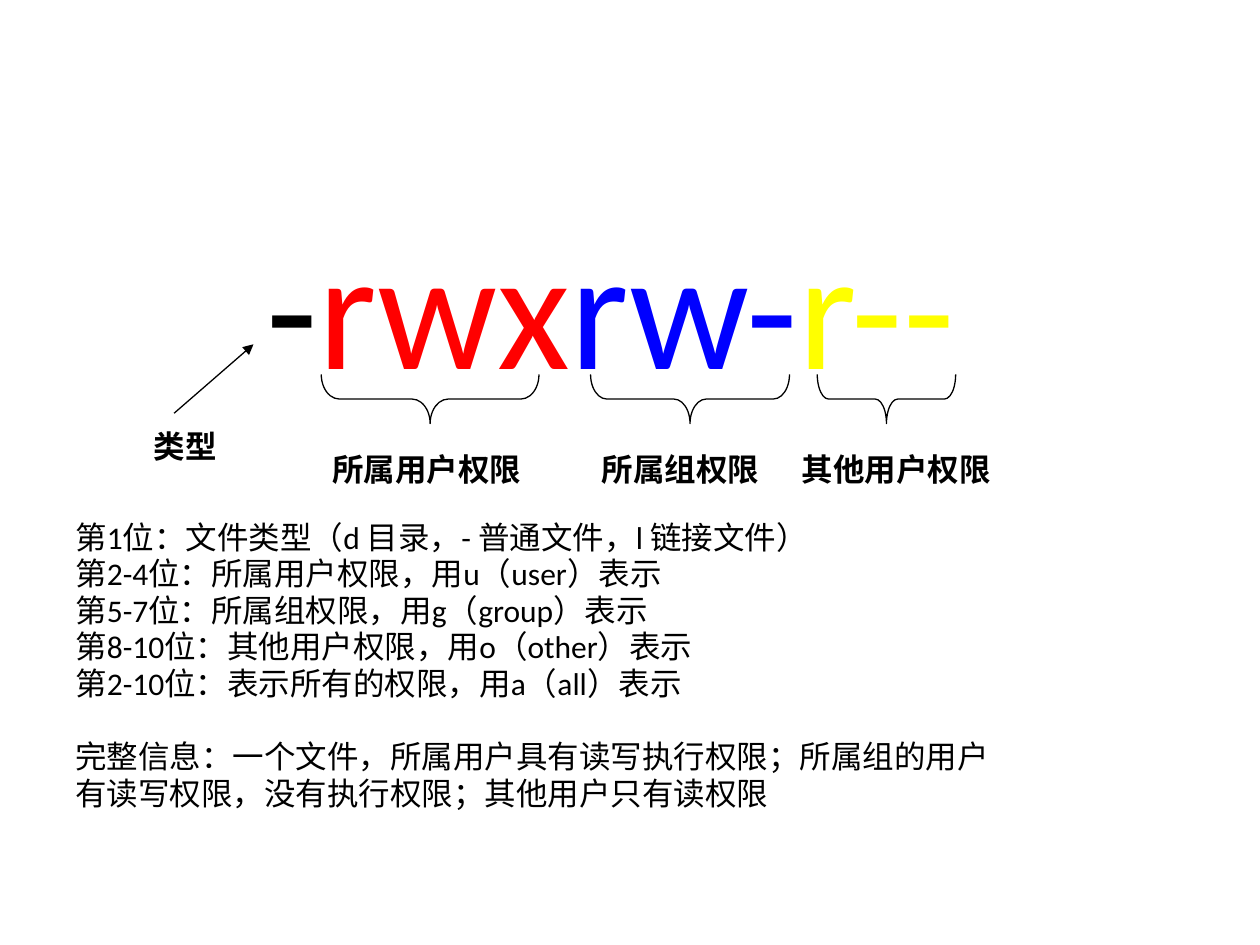
from collections import namedtuple
from dataclasses import dataclass

from lxml.etree import SubElement
from pptx import Presentation
from pptx.dml.color import RGBColor
from pptx.enum.shapes import MSO_CONNECTOR as Connector, MSO_SHAPE as Shape
from pptx.enum.text import MSO_AUTO_SIZE as AutoSize, PP_ALIGN as Align
from pptx.oxml.ns import qn
from pptx.util import Cm, Pt


@dataclass(frozen=True)
class Theme:
    font: str = "Calibri"
    ink: str = "000000"
    paper: str = "FFFFFF"
    owner: str = "FF0000"
    group: str = "0000FF"
    other: str = "FFFF00"
    mode_size: float = 96
    text_size: float = 18
    line_width: float = 0.75
    line_spacing: float = 0.8
    line_gap: float = 3.6
    section_gap: float = 24.5


THEME = Theme()
Box = namedtuple("Box", "left top width height")
# Centres and widths in cm, relative to the diagram's left edge
Part = namedtuple("Part", "label brace_centre brace_width curve label_centre label_width")

MODE = [("-", THEME.ink), ("rwx", THEME.owner),
        ("rw-", THEME.group), ("r--", THEME.other)]
PARTS = [
    Part("所属用户权限", 6.49, 4.39, 0.37, 6.42, 5.41),
    Part("所属组权限", 11.73, 4.01, 0.33, 11.54, 4.42),
    Part("其他用户权限", 15.69, 2.79, 0.23, 15.89, 4.35),
]
POSITIONS = [
    "第1位：文件类型（d 目录，- 普通文件，l 链接文件）",
    "第2-4位：所属用户权限，用u（user）表示",
    "第5-7位：所属组权限，用g（group）表示",
    "第8-10位：其他用户权限，用o（other）表示",
    "第2-10位：表示所有的权限，用a（all）表示",
]
SUMMARY = [
    "完整信息：一个文件，所属用户具有读写执行权限；所属组的用户",
    "有读写权限，没有执行权限；其他用户只有读权限",
]


def rgb(colour):
    return RGBColor.from_string(colour)


def style(font, size, colour=THEME.ink, bold=False):
    font.name = THEME.font
    font.size = Pt(size)
    font.color.rgb = rgb(colour)
    font.bold = bold


def style_line(line):
    line.color.rgb = rgb(THEME.ink)
    line.width = Pt(THEME.line_width)


def add_frame(slide, box):
    frame = slide.shapes.add_textbox(*map(Cm, box)).text_frame
    frame.word_wrap = True
    return frame


def add_mode(slide, box):
    """Place the permission string, one colour for each of its parts."""
    frame = add_frame(slide, box)
    frame.auto_size = AutoSize.SHAPE_TO_FIT_TEXT
    paragraph = frame.paragraphs[0]
    paragraph.alignment = Align.CENTER
    for text, colour in MODE:
        run = paragraph.add_run()
        run.text = text
        style(run.font, THEME.mode_size, colour)


def add_label(slide, box, text):
    frame = add_frame(slide, box)
    frame.auto_size = AutoSize.SHAPE_TO_FIT_TEXT
    frame.text = text
    paragraph = frame.paragraphs[0]
    paragraph.alignment = Align.CENTER
    style(paragraph.runs[0].font, THEME.text_size, bold=True)


def add_brace(slide, box, curve):
    """Fill the box with a brace that points down: a right brace turned by 90°."""
    left = box.left + (box.width - box.height) / 2
    top = box.top + (box.height - box.width) / 2
    brace = slide.shapes.add_shape(
        Shape.RIGHT_BRACE, Cm(left), Cm(top), Cm(box.height), Cm(box.width))
    brace.rotation = 90
    brace.adjustments[0] = curve
    brace.shadow.inherit = False
    brace.fill.solid()
    brace.fill.fore_color.rgb = rgb(THEME.paper)
    style_line(brace.line)


def add_arrow(slide, start, end):
    arrow = slide.shapes.add_connector(
        Connector.STRAIGHT, *map(Cm, (*start, *end)))
    style_line(arrow.line)
    SubElement(arrow.line._get_or_add_ln(), qn("a:tailEnd"), type="triangle")
    SubElement(arrow._element.spPr, qn("a:effectLst"))


def add_diagram(slide, box):
    left, top = box.left, box.top
    add_mode(slide, Box(left + 1.53, top, 17.2, 4.32))
    for part in PARTS:
        add_brace(slide, Box(left + part.brace_centre - part.brace_width / 2,
                             top + 3.61, part.brace_width, 0.99), part.curve)
        add_label(slide, Box(left + part.label_centre - part.label_width / 2,
                             top + 5, part.label_width, 1.02), part.label)
    add_arrow(slide, (left + 1.33, top + 4.39), (left + 2.93, top + 3))
    add_label(slide, Box(left, top + 4.55, 3.12, 1.09), "类型")


def add_explanation(slide, box):
    frame = add_frame(slide, box)
    frame.text = "\n".join(POSITIONS + SUMMARY)
    for index, paragraph in enumerate(frame.paragraphs):
        paragraph.line_spacing = THEME.line_spacing
        if index:
            starts_summary = index == len(POSITIONS)
            paragraph.space_before = Pt(
                THEME.section_gap if starts_summary else THEME.line_gap)
        style(paragraph.runs[0].font, THEME.text_size)


def main():
    deck = Presentation()
    deck.slide_width, deck.slide_height = Cm(25.4), Cm(19.05)
    slide = deck.slides.add_slide(deck.slide_layouts[6])
    add_explanation(slide, Box(1.27, 10.46, 22.86, 6.56))
    add_diagram(slide, Box(2.18, 3.94, 18.73, 6.02))
    deck.save("out.pptx")


if __name__ == "__main__":
    main()
